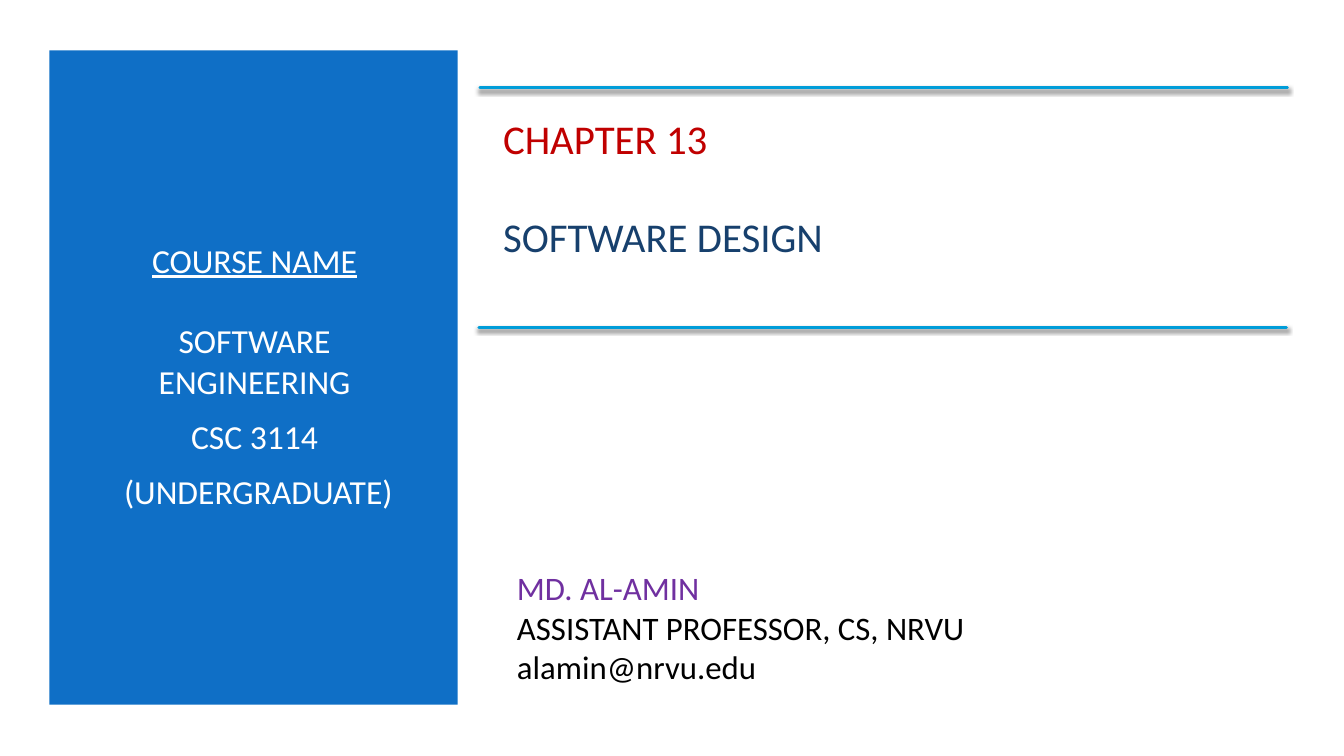
import lxml.etree
import pptx
import pptx.dml.color
import pptx.enum.shapes
import pptx.enum.text
import pptx.oxml
import pptx.oxml.ns
import pptx.util

RGBColor = pptx.dml.color.RGBColor
PANEL_BLUE = RGBColor(0x0F, 0x6F, 0xC6)
RULE_CYAN = RGBColor(0x00, 0x9D, 0xD9)
CHAPTER_RED = RGBColor(0xC0, 0x00, 0x00)
TOPIC_NAVY = RGBColor(0x17, 0x40, 0x6D)
NAME_PURPLE = RGBColor(0x70, 0x30, 0xA0)
WHITE = RGBColor(0xFF, 0xFF, 0xFF)
BLACK = RGBColor(0x00, 0x00, 0x00)

LEFT = pptx.enum.text.PP_ALIGN.LEFT
CENTER = pptx.enum.text.PP_ALIGN.CENTER

SHADOW = (
    '<a:effectLst %s><a:outerShdw blurRad="38100" dist="25400" dir="5400000" rotWithShape="0">'
    '<a:srgbClr val="000000"><a:alpha val="55000"/></a:srgbClr>'
    '</a:outerShdw></a:effectLst>' % pptx.oxml.ns.nsdecls("a")
)

deck = pptx.Presentation()
deck.slide_width = pptx.util.Inches(13.33)
deck.slide_height = pptx.util.Inches(7.5)
column = deck.slide_width / 100
row = deck.slide_height / 100


def grid(left, top, width, height):
    """Turn percentages of the slide into lengths."""
    return [round(n) for n in (left * column, top * row, width * column, height * row)]


def write(text, frame, size, color, align=LEFT, underline=False, before=0, after=0):
    """Write text as the next paragraph of a middle-anchored frame."""
    frame.word_wrap = True
    frame.auto_size = pptx.enum.text.MSO_AUTO_SIZE.NONE
    frame.vertical_anchor = pptx.enum.text.MSO_ANCHOR.MIDDLE
    paragraph = frame.paragraphs[0] if not frame.text else frame.add_paragraph()
    paragraph.alignment = align
    paragraph.space_before = pptx.util.Pt(before)
    paragraph.space_after = pptx.util.Pt(after)
    run = paragraph.add_run()
    run.text = text
    run.font.name = "Calibri"
    run.font.size = pptx.util.Pt(size)
    run.font.color.rgb = color
    run.font.underline = underline


slide = deck.slides.add_slide(deck.slide_layouts[5])
shapes = slide.shapes

panel = shapes.add_shape(
    pptx.enum.shapes.MSO_SHAPE.RECTANGLE, *grid(3.68, 6.67, 30.38, 86.53))
panel.shadow.inherit = False
panel.fill.solid()
panel.fill.fore_color.rgb = PANEL_BLUE
panel.line.fill.background()

course = shapes.add_textbox(*grid(6.3, 14.67, 25.28, 70)).text_frame
for text, underline, after in [
    ("COURSE NAME", True, 24),
    ("SOFTWARE ENGINEERING", False, 6),
    ("CSC 3114", False, 6),
    (" (UNDERGRADUATE)", False, 6),
]:
    write(text, course, size=24, color=WHITE, align=CENTER,
          underline=underline, before=4.8, after=after)

title = shapes.title
title.left, title.top, title.width, title.height = grid(36.68, 14.67, 58.89, 20.13)
write("CHAPTER 13", title.text_frame, size=29.2, color=CHAPTER_RED, after=35)
write("SOFTWARE DESIGN", title.text_frame, size=29.2, color=TOPIC_NAVY)

for start, level in [(35.71, 11.6), (35.63, 43.33)]:
    left, top, length, _ = grid(start, level, 60.09, 0)
    rule = shapes.add_connector(
        pptx.enum.shapes.MSO_CONNECTOR.STRAIGHT, left, top, left + length, top)
    rule.line.color.rgb = RULE_CYAN
    rule.line.width = pptx.util.Pt(2)
    rule.line._get_or_add_ln().set("cap", "rnd")
    rule._element.spPr.append(pptx.oxml.parse_xml(SHADOW))

lecturer = shapes.add_textbox(*grid(37.73, 72.53, 49.96, 20.8)).text_frame
for text, color in [
    ("MD. AL-AMIN", NAME_PURPLE),
    ("ASSISTANT PROFESSOR, CS, NRVU", BLACK),
    ("alamin@nrvu.edu", BLACK),
]:
    write(text, lecturer, size=23.4, color=color)

deck.save("out.pptx")
